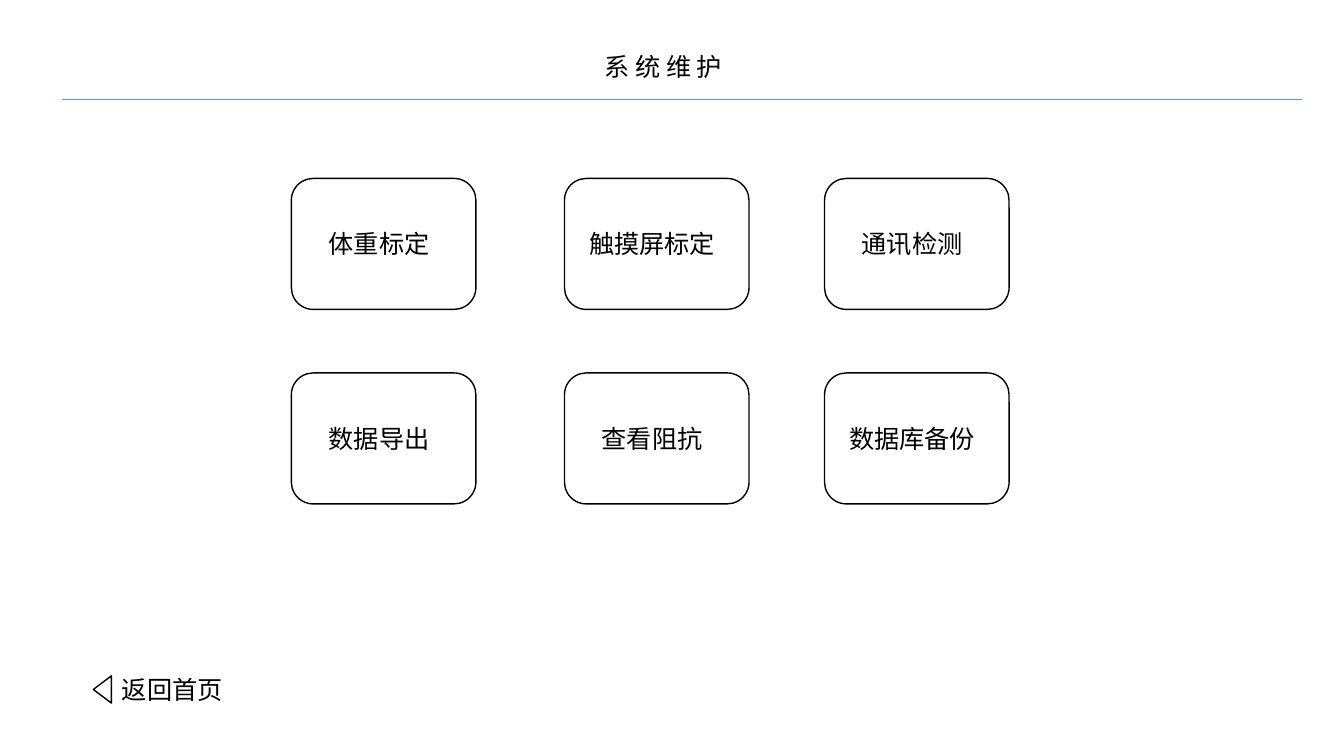
from lxml.etree import SubElement
from pptx import Presentation
from pptx.dml.color import RGBColor
from pptx.enum.shapes import MSO_CONNECTOR as CONN, MSO_SHAPE as SHAPE
from pptx.enum.text import MSO_ANCHOR as ANCHOR, MSO_AUTO_SIZE as FIT, PP_ALIGN as ALIGN
from pptx.oxml.ns import qn
from pptx.util import Inches, Pt

COLORS = {"text": "000000", "outline": "000000", "fill": "FFFFFF", "rule": "5B9BD5"}
LATIN, CJK = "Calibri", "Noto Sans CJK SC"


class Page:
    """Holds the style and the current slide; lengths are percent of the slide."""

    def __init__(self, prs):
        self.w, self.h = prs.slide_width, prs.slide_height
        self.s = prs.slides.add_slide(prs.slide_layouts[5])
        self.font = {"size": Pt(18), "bold": False, "name": LATIN}

    def color(self, name):
        return RGBColor.from_string(COLORS[name])

    def box(self, x, y, w, h):
        return (round(self.w * x / 100), round(self.h * y / 100),
                round(self.w * w / 100), round(self.h * h / 100))

    def set_text(self, sp, text, align, frame=None, font=None):
        tf = sp.text_frame
        for key, value in {"word_wrap": True, **(frame or {})}.items():
            setattr(tf, key, value)
        p = tf.paragraphs[0]
        p.alignment = align
        r = p.add_run()
        r.text = text
        for key, value in {**self.font, **(font or {})}.items():
            setattr(r.font, key, value)
        r.font.color.rgb = self.color("text")
        SubElement(r.font._element, qn("a:ea"), typeface=CJK)

    def title(self, text, *area):
        sp = self.s.shapes.title
        sp.left, sp.top, sp.width, sp.height = self.box(*area)
        self.set_text(sp, text, ALIGN.CENTER,
                      {"auto_size": FIT.SHAPE_TO_FIT_TEXT, "vertical_anchor": ANCHOR.TOP},
                      {"name": CJK})

    def label(self, text, *area):
        sp = self.s.shapes.add_textbox(*self.box(*area))
        self.set_text(sp, text, ALIGN.LEFT, {"auto_size": FIT.SHAPE_TO_FIT_TEXT})

    def rule(self, x1, x2, y):
        left, top, right, bottom = self.box(x1, y, x2, y)
        sp = self.s.shapes.add_connector(CONN.STRAIGHT, left, top, right, bottom)
        sp.line.color.rgb = self.color("rule")
        sp.line.width = Pt(0.5)
        SubElement(sp._element.spPr, qn("a:effectLst"))

    def shape(self, kind, *area):
        sp = self.s.shapes.add_shape(kind, *self.box(*area))
        sp.shadow.inherit = False
        sp.fill.solid()
        sp.fill.fore_color.rgb = self.color("fill")
        sp.line.color.rgb = self.color("outline")
        sp.line.width = Pt(1)
        return sp

    def button(self, text, *area):
        sp = self.shape(SHAPE.ROUNDED_RECTANGLE, *area)
        # The wider right inset sets the text slightly left of centre
        self.set_text(sp, text, ALIGN.CENTER,
                      {"margin_right": Inches(0.19), "vertical_anchor": ANCHOR.MIDDLE})


def main():
    prs = Presentation()
    prs.slide_width, prs.slide_height = Inches(13.33), Inches(7.5)
    page = Page(prs)

    # Header
    page.title("系 统 维 护", 20.85, 6.13, 57, 5.33)
    page.rule(4.65, 96.9, 13.2)

    # Back to the home page
    page.label("返回首页", 8.33, 88.53, 9.53, 5.33)
    page.shape(SHAPE.ISOSCELES_TRIANGLE, 6.6, 90, 2.03, 2.4).rotation = 270

    # Maintenance buttons
    columns, rows = (21.68, 42, 61.35), (23.6, 49.33)
    buttons = (("体重标定", "触摸屏标定", "通讯检测"),
               ("数据导出", "查看阻抗", "数据库备份"))
    for y, names in zip(rows, buttons):
        for x, name in zip(columns, names):
            page.button(name, x, y, 13.73, 17.33)

    prs.save("out.pptx")


if __name__ == "__main__":
    main()
